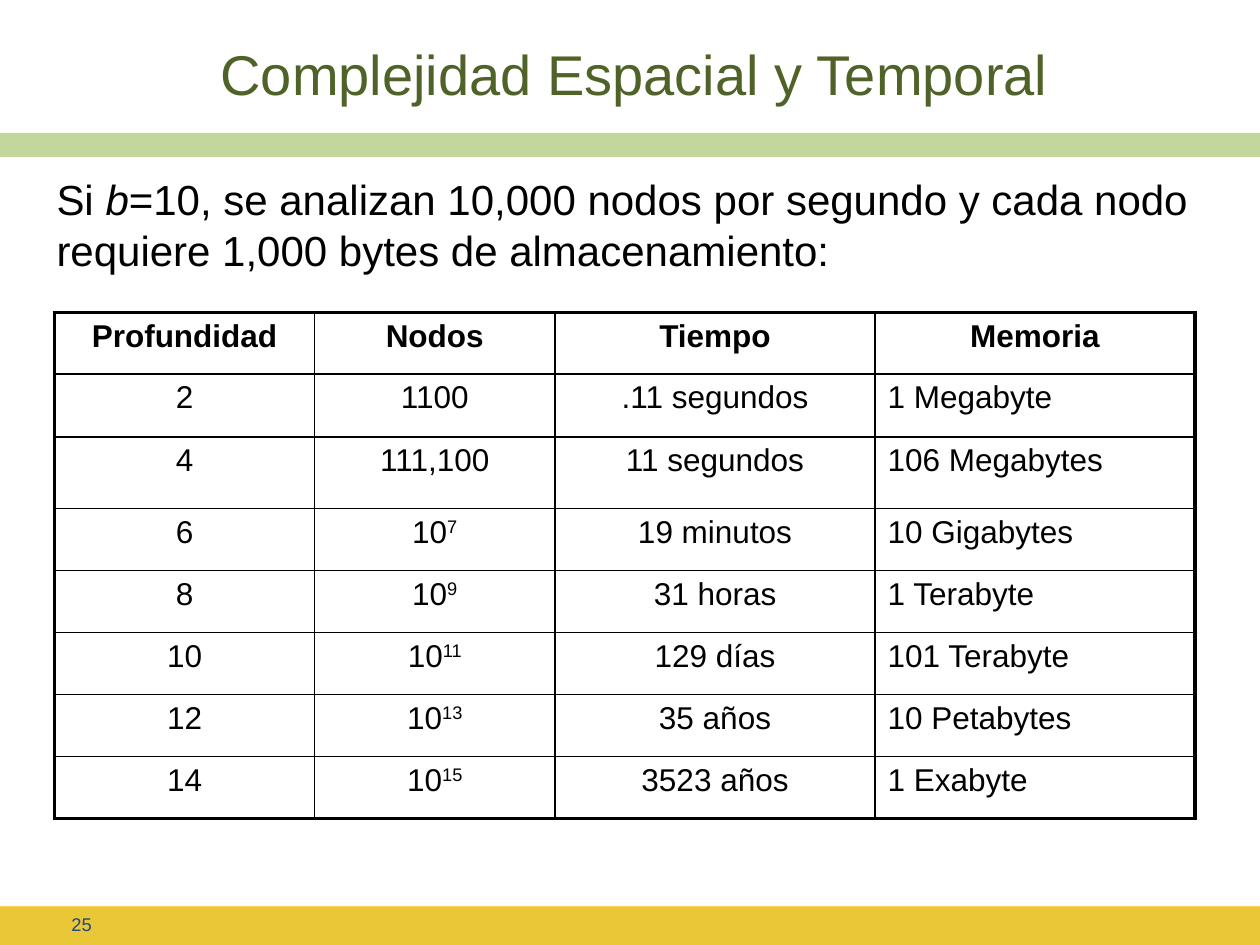
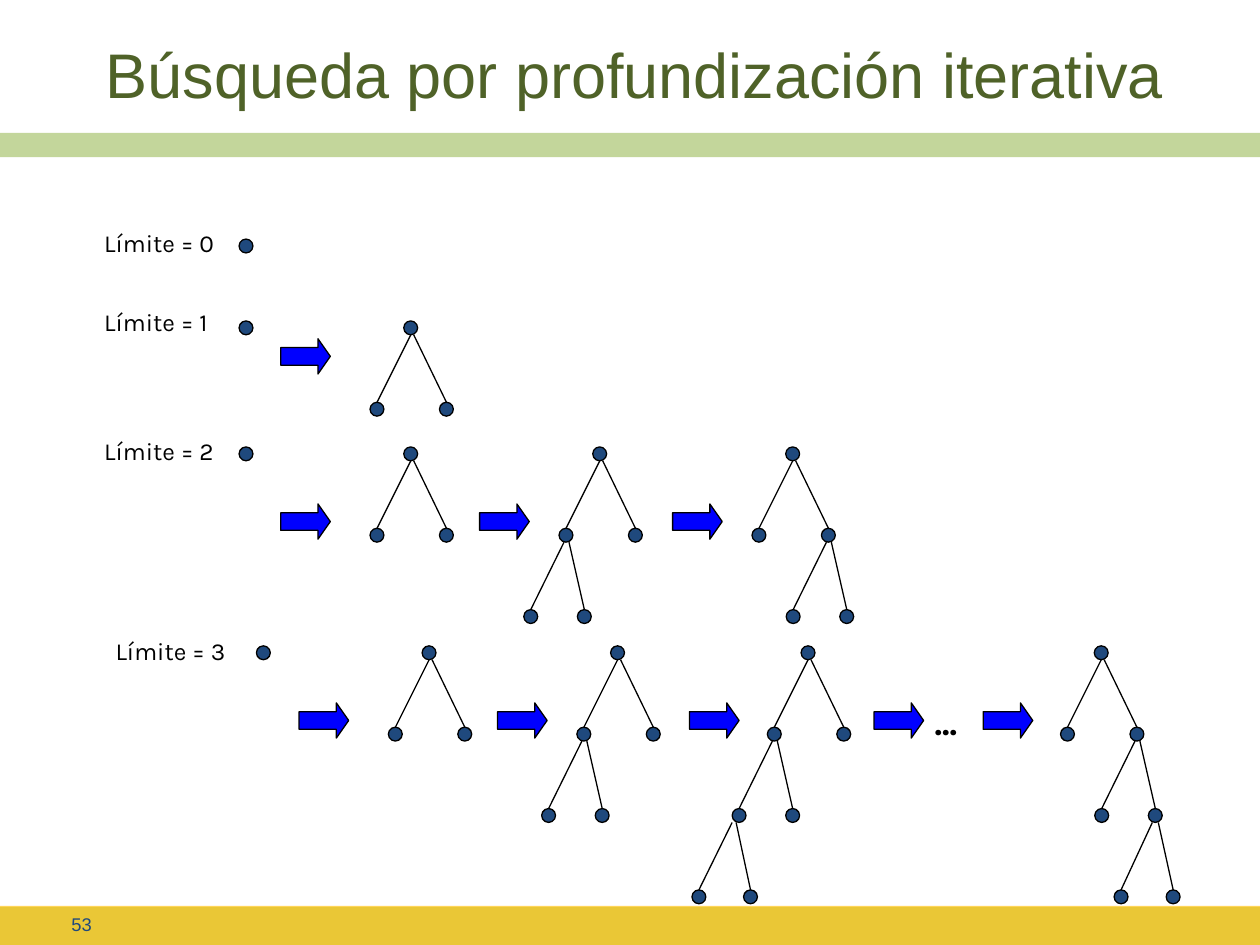
from collections import namedtuple

from lxml.etree import SubElement
from pptx import Presentation
from pptx.dml.color import RGBColor
from pptx.enum.shapes import MSO_CONNECTOR, MSO_SHAPE
from pptx.enum.text import MSO_ANCHOR, MSO_AUTO_SIZE, PP_ALIGN
from pptx.oxml.ns import qn
from pptx.util import Cm, Pt


class Theme:
    TITLE, TEXT, NODE = "4F6228", "000000", "1F497D"
    GREEN, GOLD, ARROW = "C3D69B", "FFC000", "0000FF"
    SANS, LABEL_FONT = "Arial", "Karla"
    BODY, CELL, LABEL, DOTS, NUMBER = 24, 18, 14, 20, 10.5
    THIN, OUTER, OUTLINE = 1, 2.25, 0.75


# Content: complexity table
INTRO = [
    ("Si ", ""),
    ("b", "italic"),
    ("=10, se analizan 10,000 nodos por segundo y cada nodo "
     "requiere 1,000 bytes de almacenamiento:", ""),
]
HEADERS = ("Profundidad", "Nodos", "Tiempo", "Memoria")
# A caret separates a base from its exponent
COSTS = [
    ("2", "1100", ".11 segundos", "1 Megabyte"),
    ("4", "111,100", "11 segundos", "106 Megabytes"),
    ("6", "10^7", "19 minutos", "10 Gigabytes"),
    ("8", "10^9", "31 horas", "1 Terabyte"),
    ("10", "10^11", "129 días", "101 Terabyte"),
    ("12", "10^13", "35 años", "10 Petabytes"),
    ("14", "10^15", "3523 años", "1 Exabyte"),
]
COLUMN_WIDTHS = (5.24, 4.85, 6.45, 6.45)
ROW_HEIGHTS = (1.24, 1.27, 1.44) + (1.25,) * 5

# Content: trees, in centimetres. A fork holds the horizontal offsets of both
# children and of the points where their branches leave the parent.
Fork = namedtuple("Fork", "left right left_start right_start")
FIRST = Fork(-0.68, 0.72, 0, 0.06)
SECOND = Fork(-0.71, 0.37, -0.04, 0.06)
THIRD_LEFT = Fork(-0.81, 0.23, -0.14, -0.06)
THIRD_RIGHT = Fork(-0.69, 0.36, -0.06, 0.06)

# Each tree: root x, forks from the top down, side followed after each fork
Stage = namedtuple("Stage", "label label_at root_y trees arrow_y arrows")
STAGES = [
    Stage("Límite = 0", (1.85, 4.47), 4.96, [(4.96, [], "")], 0, []),
    Stage("Límite = 1", (1.85, 6.07), 6.61,
          [(4.96, [], ""), (8.28, [FIRST], "")], 6.83, [5.66]),
    Stage("Límite = 2", (1.85, 8.66), 9.15,
          [(4.96, [], ""), (8.28, [FIRST], ""),
           (12.09, [FIRST, SECOND], "L"), (15.98, [FIRST, SECOND], "R")],
          10.16, [5.66, 9.67, 13.56]),
    Stage("Límite = 3", (2.08, 12.7), 13.16,
          [(5.31, [], ""), (8.65, [FIRST], ""),
           (12.45, [FIRST, SECOND], "L"),
           (16.29, [FIRST, SECOND, THIRD_LEFT], "LL"),
           (22.2, [FIRST, SECOND, THIRD_RIGHT], "RR")],
          14.17, [6.03, 10.03, 13.9, 17.62, 19.82]),
]
NODE_SIZE = 0.28
LEVEL_STEP = 1.64


# Helpers
def rgb(color):
    return RGBColor.from_string(color)


def write_text(frame, text, size, color=Theme.TEXT, font=Theme.SANS, bold=False,
               align=PP_ALIGN.LEFT, anchor=None, wrap=True):
    """Write a string, or a list of (text, style) parts, as one paragraph."""
    frame.word_wrap = wrap
    if anchor is not None:
        frame.vertical_anchor = anchor
    paragraph = frame.paragraphs[0]
    paragraph.alignment = align
    parts = [(text, "")] if isinstance(text, str) else text
    for part, style in parts:
        run = paragraph.add_run()
        run.text = part
        run.font.name = font
        run.font.size = Pt(size)
        run.font.bold = bold
        run.font.italic = style == "italic"
        run.font.color.rgb = rgb(color)
        if style == "super":
            run.font._element.set("baseline", "30000")


def add_text(slide, left, top, width, height, text, size, **text_format):
    box = slide.shapes.add_textbox(Cm(left), Cm(top), Cm(width), Cm(height))
    write_text(box.text_frame, text, size, **text_format)
    return box


def add_filled(slide, kind, left, top, width, height, color, outlined=True):
    shape = slide.shapes.add_shape(kind, Cm(left), Cm(top), Cm(width), Cm(height))
    shape.shadow.inherit = False
    shape.fill.solid()
    shape.fill.fore_color.rgb = rgb(color)
    if outlined:
        shape.line.color.rgb = rgb(Theme.TEXT)
        shape.line.width = Pt(Theme.OUTLINE)
    else:
        shape.line.fill.background()
    return shape


def add_branch(slide, x1, y1, x2, y2):
    branch = slide.shapes.add_connector(
        MSO_CONNECTOR.STRAIGHT, Cm(x1), Cm(y1), Cm(x2), Cm(y2))
    branch.line.color.rgb = rgb(Theme.TEXT)
    branch.line.width = Pt(Theme.OUTLINE)
    SubElement(branch._element.spPr, qn("a:effectLst"))


def add_base_slide(presentation, title, title_size, number):
    """Add a slide with the shared bands, number and title."""
    slide = presentation.slides.add_slide(presentation.slide_layouts[5])
    for top, height, color in ((2.68, 0.49, Theme.GREEN),
                               (18.29, 0.76, Theme.GREEN),
                               (18.26, 0.79, Theme.GOLD)):
        band = add_filled(slide, MSO_SHAPE.RECTANGLE, 0, top, 25.4, height,
                          color, outlined=False)
    gold = band._element.spPr.find(".//" + qn("a:srgbClr"))
    SubElement(gold, qn("a:alpha"), val="65000")

    number_box = add_text(slide, 0.86, 18.34, 1.24, 0.58, number, Theme.NUMBER,
                          color=Theme.NODE, align=PP_ALIGN.RIGHT,
                          anchor=MSO_ANCHOR.MIDDLE)
    number_box.text_frame.margin_top = number_box.text_frame.margin_bottom = Cm(0.1)

    heading = slide.shapes.title
    heading.left, heading.top = Cm(0.89), Cm(0.58)
    heading.width, heading.height = Cm(23.8), Cm(1.8)
    heading.text_frame.auto_size = MSO_AUTO_SIZE.NONE
    write_text(heading.text_frame, title, title_size, color=Theme.TITLE,
               align=PP_ALIGN.CENTER, anchor=MSO_ANCHOR.MIDDLE)
    return slide


# Table
def set_borders(cell, widths):
    properties = cell._tc.get_or_add_tcPr()
    for side, width in zip("LRTB", widths):
        line = SubElement(properties, qn(f"a:ln{side}"), w=str(Pt(width)))
        fill = SubElement(line, qn("a:solidFill"))
        SubElement(fill, qn("a:srgbClr"), val=Theme.TEXT)


def add_cost_table(slide):
    rows = [HEADERS] + COSTS
    last_row, last_column = len(rows) - 1, len(HEADERS) - 1
    table = slide.shapes.add_table(
        len(rows), len(HEADERS), Cm(1.1), Cm(6.3),
        Cm(sum(COLUMN_WIDTHS)), Cm(sum(ROW_HEIGHTS))).table
    table.first_row = table.horz_banding = False
    for column, width in zip(table.columns, COLUMN_WIDTHS):
        column.width = Cm(width)
    for r, (values, height) in enumerate(zip(rows, ROW_HEIGHTS)):
        table.rows[r].height = Cm(height)
        for c, value in enumerate(values):
            cell = table.cell(r, c)
            on_edge = (c == 0, c == last_column, r == 0, r == last_row)
            set_borders(cell, [Theme.OUTER if edge else Theme.THIN
                               for edge in on_edge])
            cell.fill.background()
            left_aligned = r > 0 and c == last_column
            parts = zip(value.split("^"), ("", "super"))
            write_text(cell.text_frame, parts, Theme.CELL, bold=r == 0,
                       align=PP_ALIGN.LEFT if left_aligned else PP_ALIGN.CENTER)


# Trees
def add_node(slide, x, y):
    radius = NODE_SIZE / 2
    add_filled(slide, MSO_SHAPE.OVAL, x - radius, y - radius,
               NODE_SIZE, NODE_SIZE, Theme.NODE)


def add_tree(slide, x, y, forks, sides):
    radius = NODE_SIZE / 2
    add_node(slide, x, y)
    for level, fork in enumerate(forks):
        child_y = y + LEVEL_STEP
        for offset, start in ((fork.left, fork.left_start),
                              (fork.right, fork.right_start)):
            add_node(slide, x + offset, child_y)
            add_branch(slide, x + start, y + radius, x + offset, child_y - radius)
        if level < len(sides):
            x += fork.left if sides[level] == "L" else fork.right
            y = child_y


def add_stage(slide, stage):
    add_text(slide, *stage.label_at, 2.77, 0.84, stage.label, Theme.LABEL,
             font=Theme.LABEL_FONT, wrap=False)
    for root_x, forks, sides in stage.trees:
        add_tree(slide, root_x, stage.root_y, forks, sides)
    for left in stage.arrows:
        arrow = add_filled(slide, MSO_SHAPE.RIGHT_ARROW, left, stage.arrow_y,
                           1, 0.71, Theme.ARROW)
        arrow.adjustments[1] = 0.35


def main():
    presentation = Presentation()
    presentation.slide_width, presentation.slide_height = Cm(25.4), Cm(19.05)

    # Complexity
    slide = add_base_slide(presentation, "Complejidad Espacial y Temporal", 32, "25")
    add_text(slide, 0.89, 3.38, 23.8, 2.4, INTRO, Theme.BODY)
    add_cost_table(slide)

    # Iterative deepening
    slide = add_base_slide(presentation, "Búsqueda por profundización iterativa",
                           36, "53")
    for stage in STAGES:
        add_stage(slide, stage)
    add_text(slide, 18.59, 14, 1.17, 1.09, "...", Theme.DOTS,
             font=Theme.LABEL_FONT, bold=True, wrap=False)

    presentation.save("out.pptx")


if __name__ == "__main__":
    main()
